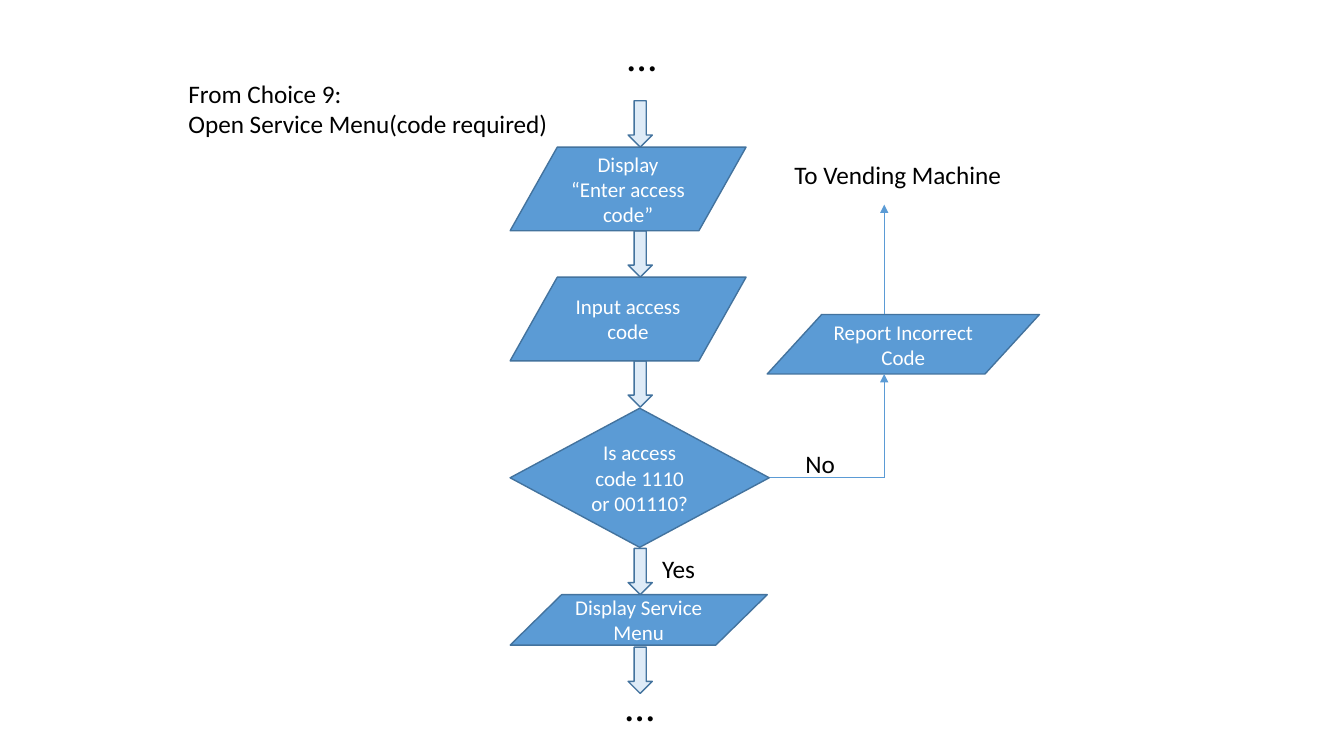
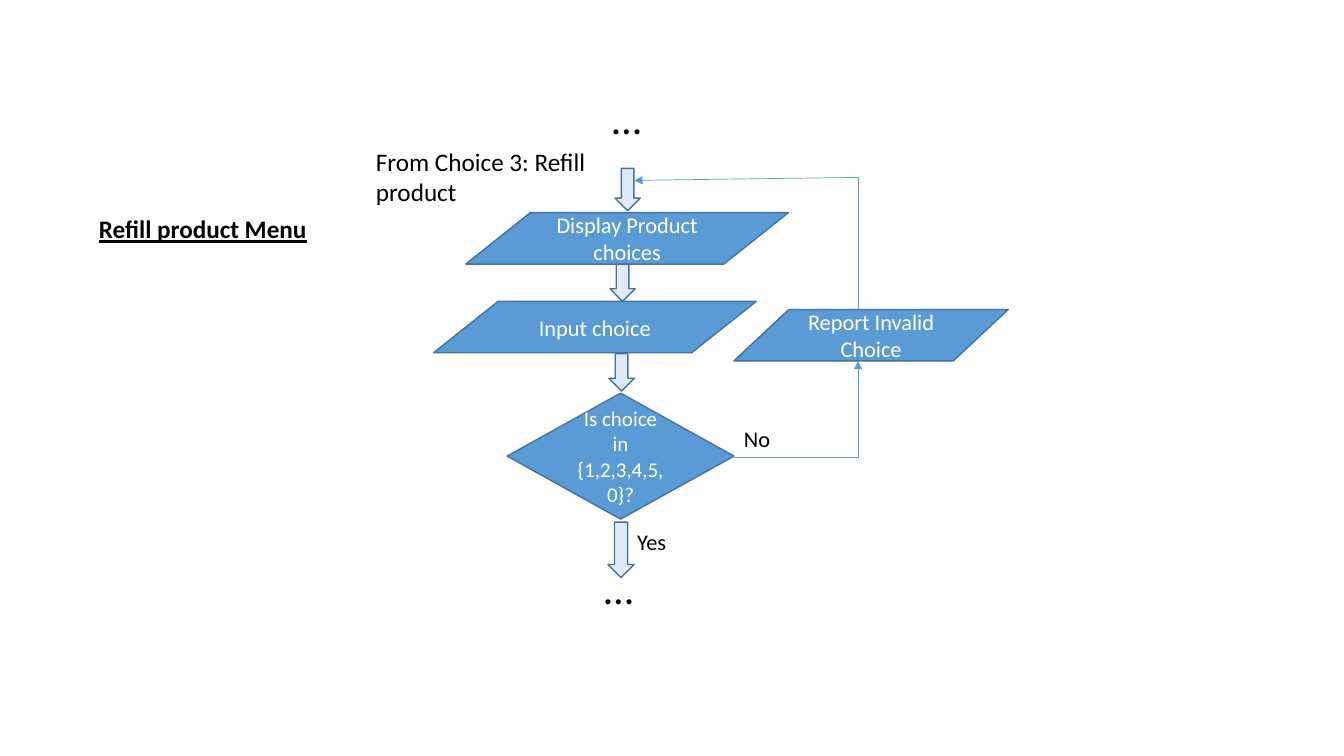
from itertools import pairwise

from lxml import etree
from pptx import Presentation
from pptx.dml.color import RGBColor
from pptx.enum.shapes import MSO_CONNECTOR, MSO_SHAPE
from pptx.enum.text import MSO_ANCHOR, MSO_AUTO_SIZE, PP_ALIGN
from pptx.oxml.ns import qn
from pptx.util import Inches, Pt

STEP = MSO_SHAPE.FLOWCHART_DATA
DECISION = MSO_SHAPE.FLOWCHART_DECISION
DOWN = MSO_SHAPE.DOWN_ARROW
STRAIGHT = MSO_CONNECTOR.STRAIGHT
LEFT, CENTER = PP_ALIGN.LEFT, PP_ALIGN.CENTER
TOP, MIDDLE = MSO_ANCHOR.TOP, MSO_ANCHOR.MIDDLE
NO_FIT, GROW = MSO_AUTO_SIZE.NONE, MSO_AUTO_SIZE.SHAPE_TO_FIT_TEXT
TITLE_ONLY, BLANK = 5, 6

FONT = "Calibri"
BLUE, PALE, OUTLINE = "5B9BD5", "DEEBF7", "43739E"
BLACK, WHITE = "000000", "FFFFFF"


def rgb(hex_color):
    return RGBColor.from_string(hex_color)


def write(shape, text, size=18, color=BLACK, align=LEFT, anchor=TOP,
          fit=GROW, bold=False, underline=False):
    """Fill a shape with text, one paragraph per line."""
    tf = shape.text_frame
    tf.word_wrap = True
    tf.auto_size = fit
    tf.vertical_anchor = anchor
    for i, line in enumerate(text.split("\n")):
        p = tf.add_paragraph() if i else tf.paragraphs[0]
        p.alignment = align
        r = p.add_run()
        r.text = line
        r.font.name, r.font.size = FONT, Pt(size)
        r.font.bold, r.font.underline = bold, underline
        r.font.color.rgb = rgb(color)


def label(s, box, text, **fmt):
    write(s.shapes.add_textbox(*map(Inches, box)), text, **fmt)


def ellipsis(s, left, top):
    """Mark where the flow continues beyond the slide."""
    label(s, (left, top, 0.84, 0.61), " …", size=30)


def node(s, kind, box, text="", size=15):
    """Draw a flowchart symbol; the block arrows are pale and empty."""
    sp = s.shapes.add_shape(kind, *map(Inches, box))
    sp.shadow.inherit = False
    sp.fill.solid()
    sp.fill.fore_color.rgb = rgb(PALE if kind == DOWN else BLUE)
    sp.line.color.rgb = rgb(OUTLINE)
    sp.line.width = Pt(1)
    if text:
        write(sp, text, size=size, color=WHITE, align=CENTER, anchor=MIDDLE, fit=NO_FIT)


def route(s, points):
    """Join points with thin lines, with an arrowhead at the last one."""
    for start, end in pairwise(points):
        line = s.shapes.add_connector(STRAIGHT, *map(Inches, start + end))
        line.line.color.rgb = rgb(BLUE)
        line.line.width = Pt(0.5)
        if end == points[-1]:
            etree.SubElement(line.line._get_or_add_ln(), qn("a:tailEnd"), type="triangle")
        etree.SubElement(line._element.spPr, qn("a:effectLst"))


def flow(s, left, top, parts):
    """Place the main column's symbols relative to its top left corner."""
    for kind, dx, dy, w, h, *text in parts:
        node(s, kind, (left + dx, top + dy, w, h), *text)


def branch(s, box, text, size, stem, source, exits):
    """Draw the No branch: in from the decision, through a step, then out."""
    left, top, w, h = box
    x = left + stem
    node(s, STEP, box, text, size)
    route(s, [source, (x, source[1]), (x, top + h)])
    route(s, [(x, top)] + [(x + dx, top + dy) for dx, dy in exits])


def access_code_slide(prs):
    s = prs.slides.add_slide(prs.slide_layouts[BLANK])
    # Main column
    pitch, arrow = 1.29, (0.24, 0.46)
    prompts = ["Display\n“Enter access code”", "Input access code"]
    parts = [(DOWN, 1.17, i * pitch, *arrow) for i in range(3)]
    parts += [(STEP, 0, 0.46 + i * pitch, 2.34, 0.83, text)
              for i, text in enumerate(prompts)]
    parts += [
        (DECISION, 0, 3.05, 2.57, 1.38, "Is access code 1110 or 001110?"),
        (DOWN, 1.17, 4.44, *arrow),
        (STEP, 0, 4.9, 2.55, 0.5, "Display Service Menu"),
        (DOWN, 1.17, 5.42, *arrow),
    ]
    flow(s, 5.06, 1, parts)
    # Wrong code
    branch(s, (7.61, 3.12, 2.7, 0.59), "Report Incorrect Code", 15,
           stem=1.16, source=(7.64, 4.74), exits=[(0, -1.09)])
    # Labels
    ellipsis(s, 6.03, 0.24)
    ellipsis(s, 6.01, 6.69)
    label(s, (1.77, 0.73, 4.02, 0.71), "From Choice 9:\nOpen Service Menu(code required)")
    label(s, (7.78, 1.53, 2.36, 0.4), "To Vending Machine")
    label(s, (7.89, 4.4, 0.58, 0.4), "No")
    label(s, (6.47, 5.44, 1.44, 0.4), "Yes")


def refill_slide(prs):
    s = prs.slides.add_slide(prs.slide_layouts[TITLE_ONLY])
    # Title
    title = s.shapes.title
    title.left, title.top, title.width, title.height = map(Inches, (0.88, 2.07, 2.38, 0.4))
    write(title, "Refill product Menu", fit=NO_FIT, bold=True, underline=True)
    # Main column
    flow(s, 4.3, 1.67, [
        (DOWN, 1.8, 0, 0.25, 0.42),
        (STEP, 0.32, 0.44, 3.2, 0.51, "Display Product choices", 16),
        (DOWN, 1.75, 0.95, 0.25, 0.37),
        (STEP, 0, 1.32, 3.2, 0.51, "Input choice", 16),
        (DOWN, 1.74, 1.84, 0.25, 0.37),
        (DECISION, 0.73, 2.23, 2.25, 1.25, "Is choice in {1,2,3,4,5,0}?"),
        (DOWN, 1.73, 3.51, 0.26, 0.55),
    ])
    # Invalid choice, looping back to the start
    branch(s, (7.28, 3.07, 2.72, 0.51), "Report Invalid Choice", 16,
           stem=1.23, source=(7.28, 4.54), exits=[(0, -1.31), (-2.22, -1.28)])
    # Labels
    ellipsis(s, 5.88, 0.87)
    ellipsis(s, 5.8, 5.53)
    label(s, (3.63, 1.4, 2.28, 0.71), "From Choice 3: Refill product")
    label(s, (7.28, 4.17, 0.57, 0.37), "No", size=16)
    label(s, (6.22, 5.19, 2.23, 0.37), "Yes", size=16)


prs = Presentation()
prs.slide_width, prs.slide_height = Inches(13.33), Inches(7.5)
access_code_slide(prs)
refill_slide(prs)
prs.save("out.pptx")
